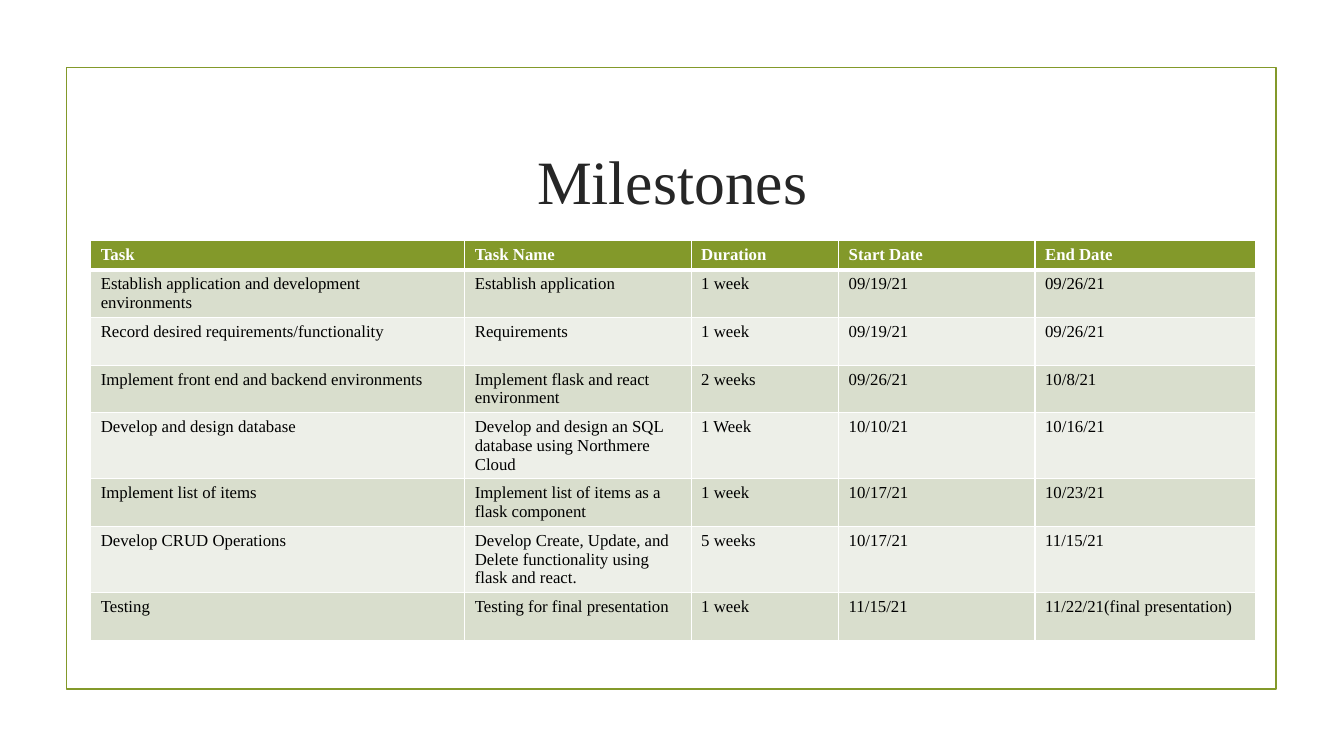
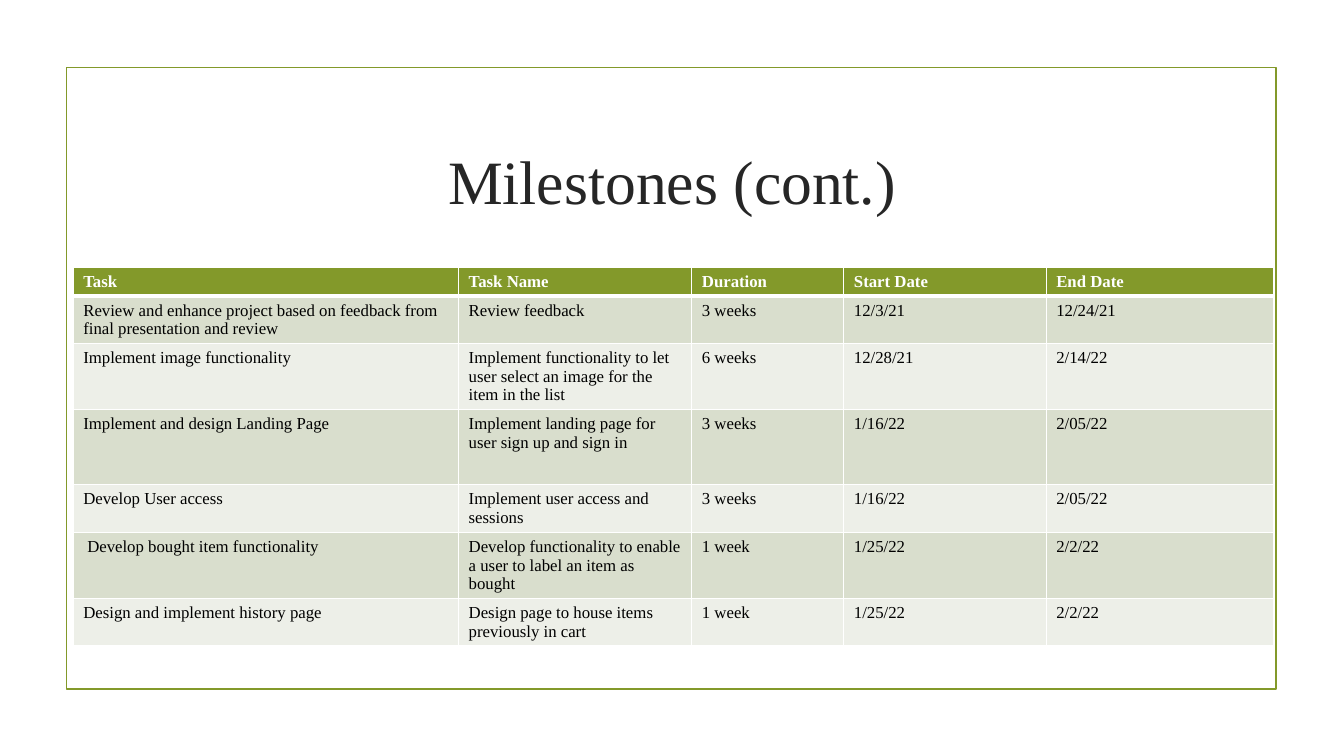
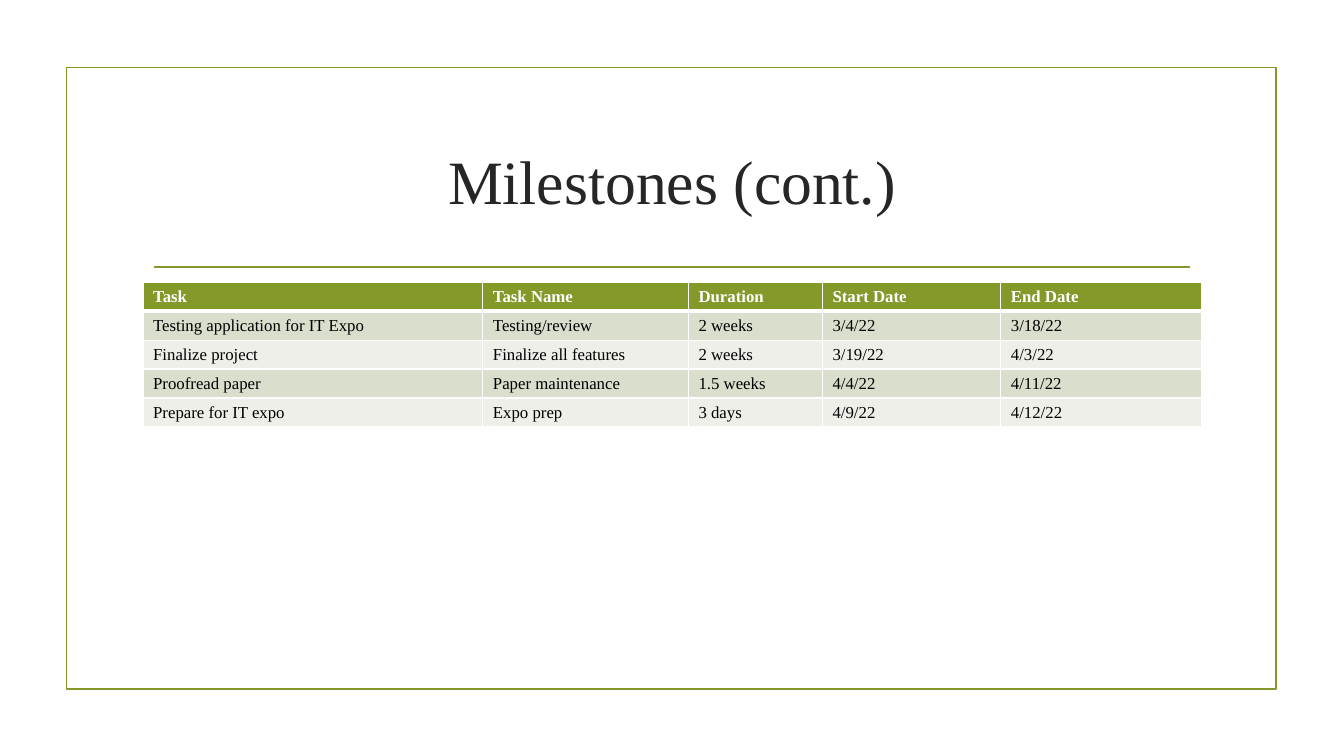
"""Build three project milestone slides, each with a framed title and a schedule table."""
from dataclasses import dataclass
from typing import NamedTuple

from lxml import etree
from pptx import Presentation
from pptx.dml.color import RGBColor
from pptx.enum.shapes import MSO_CONNECTOR, MSO_SHAPE
from pptx.enum.text import MSO_ANCHOR, PP_ALIGN
from pptx.oxml.ns import qn
from pptx.util import Cm, Pt

RECTANGLE = MSO_SHAPE.RECTANGLE
STRAIGHT = MSO_CONNECTOR.STRAIGHT
CENTER, LEFT = PP_ALIGN.CENTER, PP_ALIGN.LEFT
MIDDLE = MSO_ANCHOR.MIDDLE

COLORS = {
    "green": "83992A",
    "dark_band": "D9DECD",
    "light_band": "EDEFE8",
    "title": "262626",
    "text": "000000",
    "white": "FFFFFF",
}
FONT = "Times New Roman"
HEADINGS = ("Task", "Task Name", "Duration", "Start Date", "End Date")
COLUMN_SHARES = (3.37, 2.04, 1.33, 1.77, 1.99)
ONE_LINE, TWO_LINES, THREE_LINES, FOUR_LINES = 0.73, 1.2, 1.66, 1.89
CELL_MARGIN = 0.25
TITLE_ONLY = 5


class Milestone(NamedTuple):
    task: str
    name: str
    duration: str
    start: str
    end: str
    height: float = TWO_LINES
    indent: float = 0


@dataclass
class Schedule:
    title: str
    left: float
    top: float
    width: float
    milestones: list[Milestone]


SCHEDULES = [
    Schedule("Milestones", 2.29, 6.07, 29.36, [
        Milestone("Establish application and development environments",
                  "Establish application", "1 week", "09/19/21", "09/26/21"),
        Milestone("Record desired requirements/functionality",
                  "Requirements", "1 week", "09/19/21", "09/26/21"),
        Milestone("Implement front end and backend environments",
                  "Implement flask and react environment", "2 weeks", "09/26/21", "10/8/21"),
        Milestone("Develop and design database",
                  "Develop and design an SQL database using Northmere Cloud",
                  "1 Week", "10/10/21", "10/16/21", THREE_LINES),
        Milestone("Implement list of items",
                  "Implement list of items as a flask component", "1 week", "10/17/21", "10/23/21"),
        Milestone("Develop CRUD Operations",
                  "Develop Create, Update, and Delete functionality using flask and react.",
                  "5 weeks", "10/17/21", "11/15/21", THREE_LINES),
        Milestone("Testing", "Testing for final presentation",
                  "1 week", "11/15/21", "11/22/21(final presentation)"),
    ]),
    Schedule("Milestones (cont.)", 1.85, 6.73, 30.25, [
        Milestone("Review and enhance project based on feedback from final presentation and review",
                  "Review feedback", "3 weeks", "12/3/21", "12/24/21"),
        Milestone("Implement image functionality",
                  "Implement functionality to let user select an image for the item in the list",
                  "6 weeks", "12/28/21", "2/14/22", THREE_LINES),
        Milestone("Implement and design Landing Page",
                  "Implement landing page for user sign up and sign in",
                  "3 weeks", "1/16/22", "2/05/22", FOUR_LINES),
        Milestone("Develop User access",
                  "Implement user access and sessions", "3 weeks", "1/16/22", "2/05/22"),
        Milestone("Develop bought item functionality",
                  "Develop functionality to enable a user to label an item as bought",
                  "1 week", "1/25/22", "2/2/22", THREE_LINES, indent=0.1),
        Milestone("Design and implement history page",
                  "Design page to house items previously in cart", "1 week", "1/25/22", "2/2/22"),
    ]),
    Schedule("Milestones (cont.)", 3.61, 7.11, 26.67, [
        Milestone("Testing application for IT Expo", "Testing/review",
                  "2 weeks", "3/4/22", "3/18/22", ONE_LINE),
        Milestone("Finalize project", "Finalize all features",
                  "2 weeks", "3/19/22", "4/3/22", ONE_LINE),
        Milestone("Proofread paper", "Paper maintenance",
                  "1.5 weeks", "4/4/22", "4/11/22", ONE_LINE),
        Milestone("Prepare for IT expo", "Expo prep",
                  "3 days", "4/9/22", "4/12/22", ONE_LINE),
    ]),
]


def color(name: str) -> RGBColor:
    return RGBColor.from_string(COLORS[name])


def write_text(frame, text: str, *, size: float = 12, fill: str = "text",
               bold: bool = False, align=LEFT) -> None:
    para = frame.paragraphs[0]
    para.alignment = align
    span = para.add_run()
    span.text = text
    span.font.name = FONT
    span.font.size = Pt(size)
    span.font.bold = bold
    span.font.color.rgb = color(fill)


def dress_layout(layout, page) -> None:
    for placeholder in list(layout.placeholders):
        if placeholder.placeholder_format.idx != 0:
            placeholder.element.getparent().remove(placeholder.element)

    frame = page.shapes.add_shape(RECTANGLE, Cm(1.68), Cm(1.7), Cm(30.48), Cm(15.67))
    frame.shadow.inherit = False
    frame.fill.background()
    rule = page.shapes.add_connector(STRAIGHT, Cm(3.89), Cm(6.73), Cm(30), Cm(6.73))
    etree.SubElement(rule.element.spPr, qn("a:effectLst"))
    for shape in (frame, rule):
        shape.line.color.rgb = color("green")
        shape.line.width = Pt(1.25)
        layout.shapes.element.append(shape.element)


def add_title(page, text: str) -> None:
    title = page.shapes.title
    title.left, title.top, title.width, title.height = Cm(3.61), Cm(2.72), Cm(26.67), Cm(3.63)
    title.text_frame.vertical_anchor = MIDDLE
    write_text(title.text_frame, text, size=44, fill="title", align=CENTER)


def set_borders(cell, *, top: float = 1, bottom: float = 1) -> None:
    properties = cell._tc.get_or_add_tcPr()
    for side, width in (("L", 1), ("R", 1), ("T", top), ("B", bottom)):
        border = etree.SubElement(properties, qn(f"a:ln{side}"), w=str(Pt(width)))
        solid = etree.SubElement(border, qn("a:solidFill"))
        etree.SubElement(solid, qn("a:srgbClr"), val=COLORS["white"])


def add_schedule(page, schedule: Schedule) -> None:
    rows = [Milestone(*HEADINGS, height=ONE_LINE), *schedule.milestones]
    table = page.shapes.add_table(
        len(rows), len(HEADINGS), Cm(schedule.left), Cm(schedule.top),
        Cm(schedule.width), Cm(sum(row.height for row in rows))).table
    for column, share in zip(table.columns, COLUMN_SHARES):
        column.width = Cm(schedule.width * share / sum(COLUMN_SHARES))

    for row_index, row in enumerate(rows):
        table.rows[row_index].height = Cm(row.height)
        header = row_index == 0
        band = "green" if header else ("light_band", "dark_band")[row_index % 2]
        for column_index, text in enumerate(row[:len(HEADINGS)]):
            cell = table.cell(row_index, column_index)
            set_borders(cell, top=3 if row_index == 1 else 1, bottom=3 if header else 1)
            cell.fill.solid()
            cell.fill.fore_color.rgb = color(band)
            write_text(cell.text_frame, text, fill="white" if header else "text", bold=header)
        table.cell(row_index, 0).margin_left = Cm(CELL_MARGIN + row.indent)


def main() -> None:
    deck = Presentation()
    deck.slide_width, deck.slide_height = Cm(33.87), Cm(19.05)
    layout = deck.slide_layouts[TITLE_ONLY]
    pages = [deck.slides.add_slide(layout) for _ in SCHEDULES]
    dress_layout(layout, pages[0])
    for page, schedule in zip(pages, SCHEDULES):
        add_title(page, schedule.title)
        add_schedule(page, schedule)
    deck.save("out.pptx")


if __name__ == "__main__":
    main()
